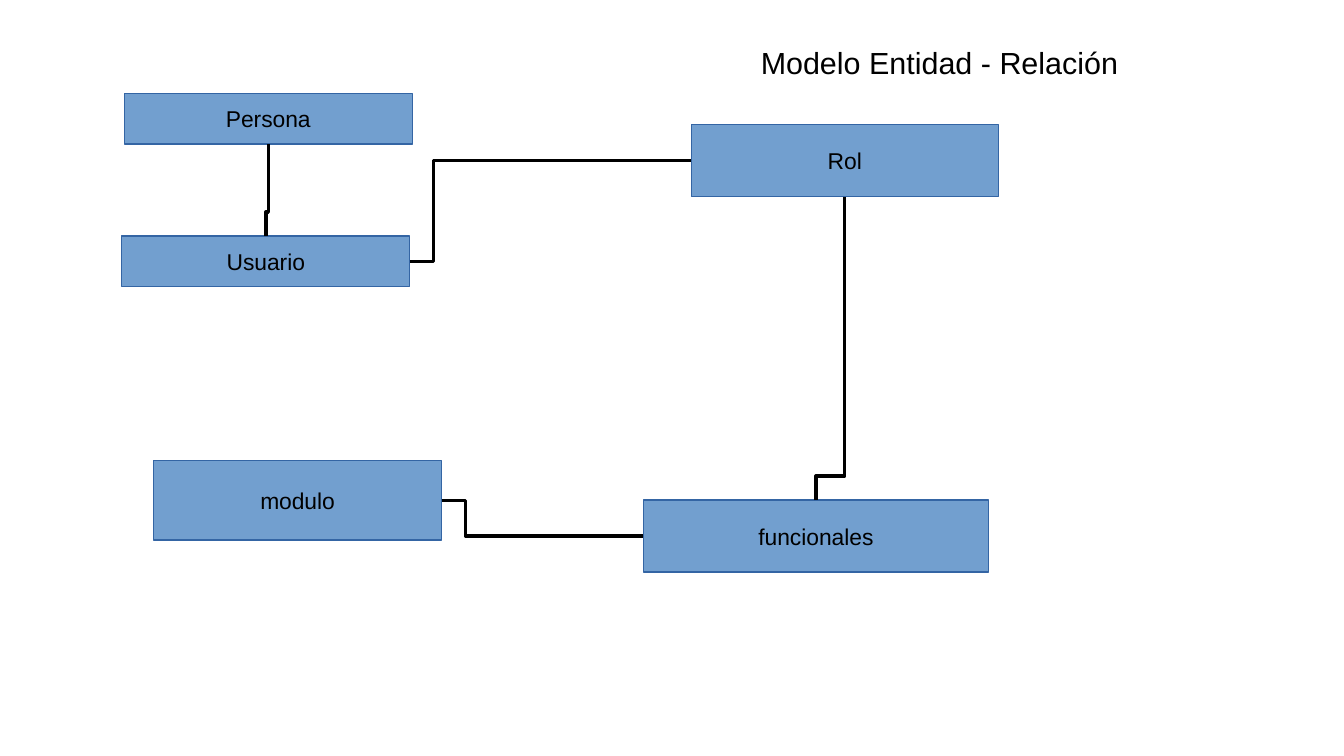
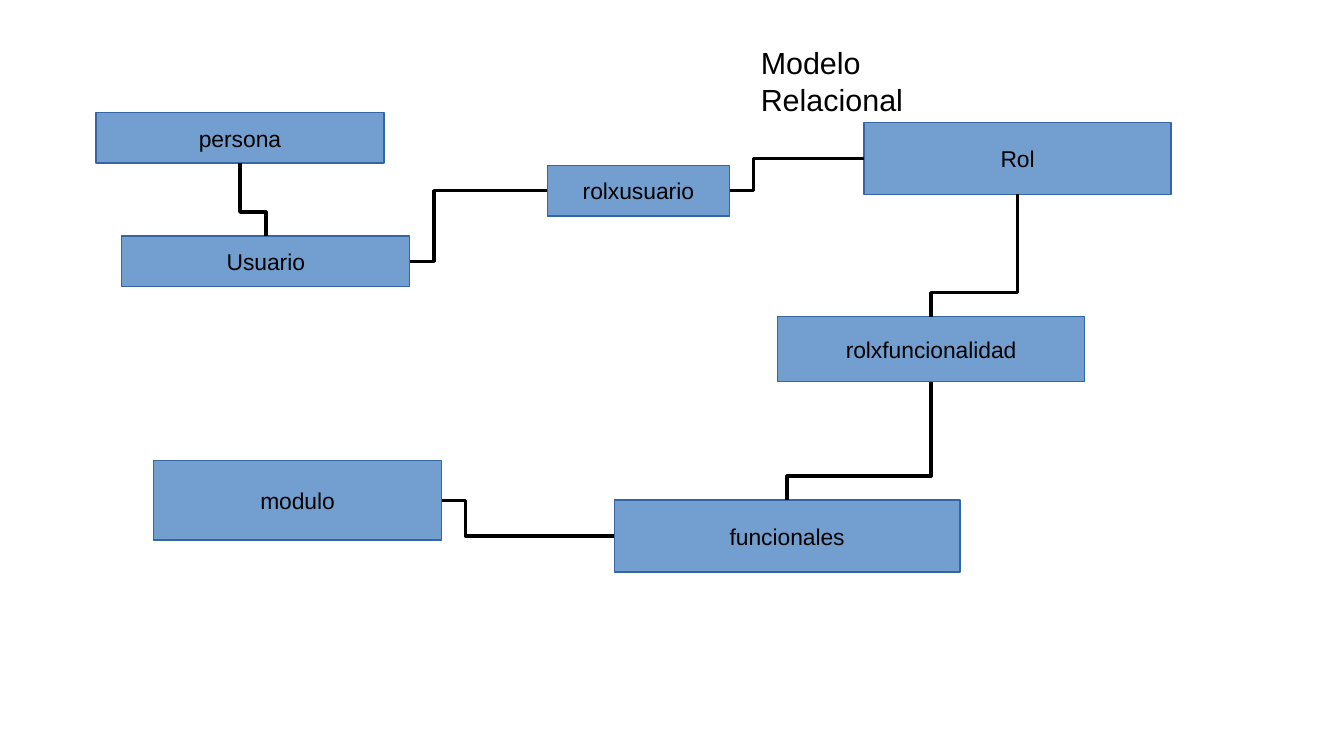
from pptx import Presentation
from pptx.dml.color import RGBColor
from pptx.enum.shapes import MSO_CONNECTOR, MSO_SHAPE
from pptx.enum.text import MSO_ANCHOR, MSO_AUTO_SIZE, PP_ALIGN
from pptx.oxml.ns import qn
from pptx.util import Cm, Pt
from lxml import etree

ELBOW = MSO_CONNECTOR.ELBOW
RECTANGLE = MSO_SHAPE.RECTANGLE
MIDDLE = MSO_ANCHOR.MIDDLE
FIT_TEXT = MSO_AUTO_SIZE.SHAPE_TO_FIT_TEXT
CENTER = PP_ALIGN.CENTER

BLUE = RGBColor(0x72, 0x9F, 0xCF)
DARK_BLUE = RGBColor(0x34, 0x65, 0xA4)
BLACK = RGBColor(0x00, 0x00, 0x00)
FONT = "Arial"
STUB = Cm(0.5)  # straight piece before an elbow turns
TOP, LEFT, BOTTOM, RIGHT = range(4)  # connection sites of a rectangle

# Content: entities as name: (left, top, width, height) in cm.
# "across" links run from right side to left side,
# "up" links from the top of one entity to the bottom of the other.
SHARED_ENTITIES = {
    "Usuario": (2.54, 4.92, 6, 1.05),
    "modulo": (3.2, 9.6, 6, 1.65),
}
DIAGRAMS = [
    {
        "title": "Modelo Entidad - Relación",
        "title_width": 7.95,
        "entities": {
            "Persona": (2.59, 1.95, 6, 1.05),
            "Rol": (14.4, 2.6, 6.4, 1.5),
            "funcionales": (13.4, 10.42, 7.2, 1.5),
        },
        "across": [("Usuario", "Rol"), ("modulo", "funcionales")],
        "up": [("Usuario", "Persona"), ("funcionales", "Rol")],
    },
    {
        "title": "Modelo Relacional",
        "title_width": 5.72,
        "entities": {
            "persona": (2, 2.35, 6, 1.05),
            "rolxusuario": (11.4, 3.45, 3.8, 1.05),
            "Rol": (18, 2.55, 6.4, 1.5),
            "rolxfuncionalidad": (16.2, 6.6, 6.4, 1.35),
            "funcionales": (12.8, 10.42, 7.2, 1.5),
        },
        "across": [("Usuario", "rolxusuario"), ("rolxusuario", "Rol"),
                   ("modulo", "funcionales")],
        "up": [("Usuario", "persona"), ("rolxfuncionalidad", "Rol"),
               ("funcionales", "rolxfuncionalidad")],
    },
]


def write(text_frame, text, size):
    text_frame.word_wrap = False
    text_frame.text = text
    paragraph = text_frame.paragraphs[0]
    font = paragraph.runs[0].font
    font.name, font.size = FONT, Pt(size)
    font.color.rgb = BLACK
    return paragraph


def add_title(slide, text, width):
    box = slide.shapes.add_textbox(Cm(15.6), Cm(0.8), Cm(width), Cm(0.97))
    write(box.text_frame, text, 18)
    box.text_frame.auto_size = FIT_TEXT


def add_entity(slide, name, bounds):
    shape = slide.shapes.add_shape(RECTANGLE, *map(Cm, bounds))
    shape.shadow.inherit = False
    shape.fill.solid()
    shape.fill.fore_color.rgb = BLUE
    shape.line.color.rgb = DARK_BLUE
    shape.line.width = 0
    shape.text_frame.vertical_anchor = MIDDLE
    write(shape.text_frame, name, 13.5).alignment = CENTER
    return shape


def turn_upright(connector):
    """Lay the elbow out so that it leaves and arrives vertically."""
    start_x, end_x = connector.begin_x, connector.end_x
    center_x = (start_x + end_x) // 2
    center_y = (connector.begin_y + connector.end_y) // 2
    width, height = connector.height, connector.width
    connector.left, connector.top = center_x - width // 2, center_y - height // 2
    connector.width, connector.height = width, height
    leans_left = start_x > end_x
    frame = connector._element.spPr.find(qn("a:xfrm"))
    frame.set("rot", str((270 if leans_left else 90) * 60000))
    frame.set("flipH", "0" if leans_left else "1")
    frame.set("flipV", "1")


def add_link(slide, start, start_site, end, end_site):
    connector = slide.shapes.add_connector(ELBOW, 0, 0, 0, 0)
    connector.begin_connect(start, start_site)
    connector.end_connect(end, end_site)
    if start_site == TOP:
        turn_upright(connector)
    connector.line.color.rgb = BLACK
    connector.line.width = 0

    # Bend at a fixed distance from the start, without shadow
    properties = connector._element.spPr
    adjustments = properties.find(qn("a:prstGeom")).get_or_add_avLst()
    bend = round(100000 * STUB / connector.width)
    etree.SubElement(adjustments, qn("a:gd"), name="adj1", fmla=f"val {bend}")
    etree.SubElement(properties, qn("a:effectLst"))


def add_diagram(presentation, diagram):
    slide = presentation.slides.add_slide(presentation.slide_layouts[6])
    entities = {**SHARED_ENTITIES, **diagram["entities"]}
    shapes = {name: add_entity(slide, name, bounds)
              for name, bounds in entities.items()}
    for start, end in diagram["across"]:
        add_link(slide, shapes[start], RIGHT, shapes[end], LEFT)
    for start, end in diagram["up"]:
        add_link(slide, shapes[start], TOP, shapes[end], BOTTOM)
    add_title(slide, diagram["title"], diagram["title_width"])


def main():
    presentation = Presentation()
    presentation.slide_width, presentation.slide_height = Cm(28), Cm(15.75)
    for diagram in DIAGRAMS:
        add_diagram(presentation, diagram)
    presentation.save("out.pptx")


if __name__ == "__main__":
    main()
